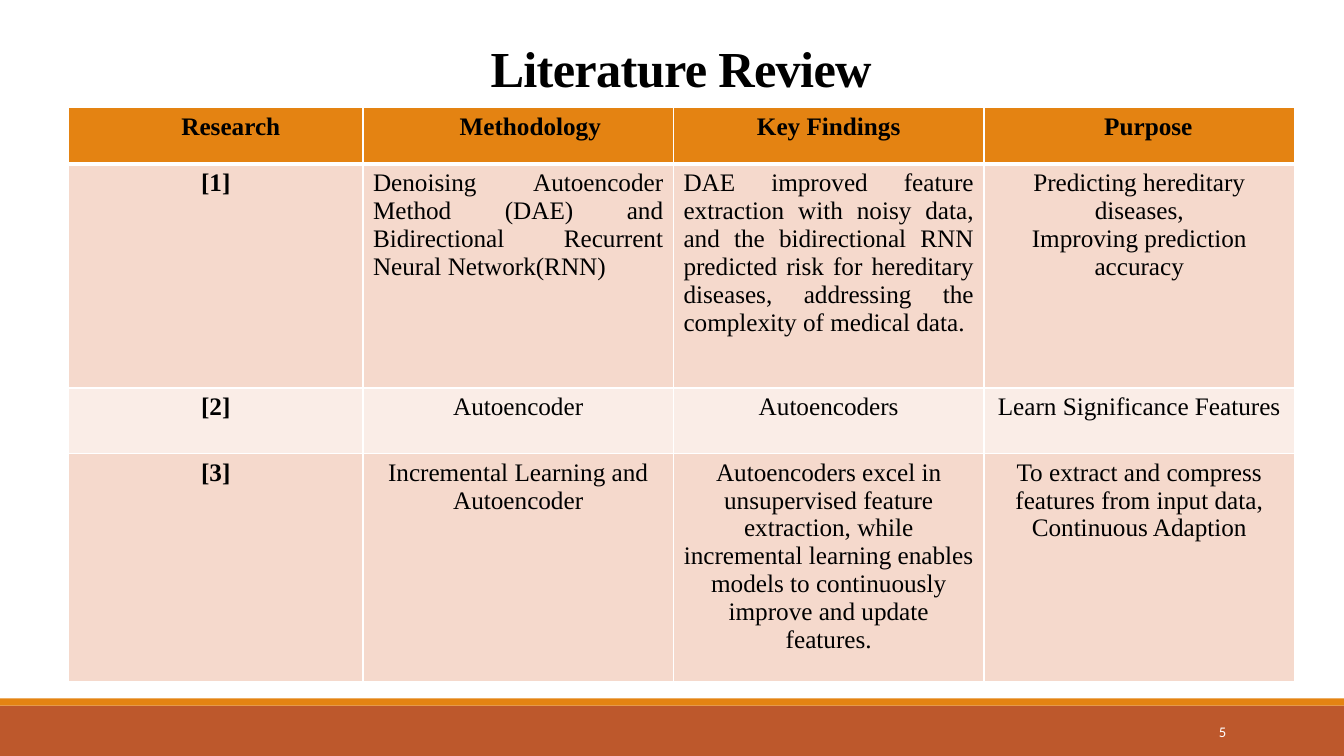
from lxml import etree
from pptx import Presentation
from pptx import util as u
from pptx.dml.color import RGBColor
from pptx.enum import shapes, text
from pptx.oxml import ns

WIDTH, HEIGHT = 13.33, 7.5
BLACK = RGBColor(0x00, 0x00, 0x00)
WHITE = RGBColor(0xFF, 0xFF, 0xFF)
ORANGE = RGBColor(0xE4, 0x83, 0x12)
RUST = RGBColor(0xBD, 0x58, 0x2C)
BANDS = [RGBColor(0xF5, 0xD9, 0xCC), RGBColor(0xFA, 0xED, 0xE7)]
SERIF, SANS = "Times New Roman", "Calibri"
CENTER, JUSTIFY, RIGHT = text.PP_ALIGN.CENTER, text.PP_ALIGN.JUSTIFY, text.PP_ALIGN.RIGHT

COLUMNS = [2.92, 3.08, 3.08, 3.08]
ROWS = [0.56, 2.22, 0.65, 2.26]
HEADER_SHIFTS = [0.3, 0.24, 0, 0.18]
REVIEW = [
    ["Research", "Methodology", "Key Findings", "Purpose"],
    ["[1]",
     "Denoising Autoencoder Method (DAE) and Bidirectional Recurrent Neural Network(RNN)",
     "DAE improved feature extraction with noisy data, and the bidirectional RNN predicted "
     "risk for hereditary diseases, addressing the complexity of medical data.",
     "Predicting hereditary diseases,\nImproving prediction accuracy"],
    ["[2]", "Autoencoder", "Autoencoders", "Learn Significance Features"],
    ["[3]",
     "Incremental Learning and Autoencoder",
     "Autoencoders excel in unsupervised feature extraction, while incremental learning "
     "enables models to continuously improve and update features.",
     "To extract and compress features from input data,\nContinuous Adaption"],
]
JUSTIFIED = {(1, 1), (1, 2)}


def write(frame, words, size=18, font=SERIF, color=BLACK, bold=False, align=CENTER,
          line_spacing=None, tracking=None):
    """Fill a text frame with one paragraph per line of words."""
    frame.word_wrap = True
    for index, line in enumerate(words.split("\n")):
        para = frame.paragraphs[0] if index == 0 else frame.add_paragraph()
        para.alignment = align
        para.line_spacing = line_spacing
        span = para.add_run()
        span.text = line
        span.font.size, span.font.name, span.font.bold = u.Pt(size), font, bold
        span.font.color.rgb = color
        if tracking is not None:
            span.font._element.set("spc", str(int(tracking * 100)))


def add_text(page, box, words, anchor, **style):
    """Place a text box in the given box."""
    frame = page.shapes.add_textbox(*map(u.Inches, box)).text_frame
    write(frame, words, **style)
    frame.vertical_anchor = anchor


def add_bar(page, box, color):
    """Draw a plain filled rectangle."""
    bar = page.shapes.add_shape(shapes.MSO_SHAPE.RECTANGLE, *map(u.Inches, box))
    bar.shadow.inherit = False
    bar.fill.solid()
    bar.fill.fore_color.rgb = color
    bar.line.fill.background()


def add_borders(cell, top, bottom):
    """Give a cell white borders, with top and bottom widths in points."""
    properties = cell._tc.get_or_add_tcPr()
    for side, width in (("L", 1), ("R", 1), ("T", top), ("B", bottom)):
        line = etree.SubElement(properties, ns.qn("a:ln" + side), w=str(u.Pt(width)))
        fill = etree.SubElement(line, ns.qn("a:solidFill"))
        etree.SubElement(fill, ns.qn("a:srgbClr"), val=str(WHITE))


def add_review(page, left, top):
    """Build the literature table from its top left corner."""
    size = (sum(COLUMNS), sum(ROWS))
    table = page.shapes.add_table(len(ROWS), len(COLUMNS),
                                  *map(u.Inches, (left, top, *size))).table
    for column, width in zip(table.columns, COLUMNS):
        column.width = u.Inches(width)
    for r, (height, entries) in enumerate(zip(ROWS, REVIEW)):
        table.rows[r].height = u.Inches(height)
        for c, words in enumerate(entries):
            cell = table.cell(r, c)
            add_borders(cell, top=3 if r == 1 else 1, bottom=3 if r == 0 else 1)
            cell.fill.solid()
            cell.fill.fore_color.rgb = BANDS[(r - 1) % 2] if r else ORANGE
            if r == 0:
                cell.margin_left = u.Inches(0.1 + HEADER_SHIFTS[c])
            write(cell.text_frame, words, bold=r == 0 or c == 0,
                  align=JUSTIFY if (r, c) in JUSTIFIED else CENTER)


def add_footer(page, left, top, width, height, number):
    """Draw the two footer bars and the page number."""
    stripe = 0.07
    add_bar(page, (left, top + stripe, width, height - stripe), RUST)
    add_bar(page, (left, top, width, stripe), ORANGE)
    add_text(page, (left + width - 2.5, top + 0.13, 1.43, 0.4), number,
             text.MSO_ANCHOR.MIDDLE, size=10.5, font=SANS, color=WHITE, align=RIGHT)


def main():
    """Build and save the slide."""
    deck = Presentation()
    deck.slide_width, deck.slide_height = u.Inches(WIDTH), u.Inches(HEIGHT)
    page = deck.slides.add_slide(deck.slide_layouts[6])
    add_footer(page, 0, HEIGHT - 0.57, WIDTH, 0.57, "5")
    add_text(page, (1.29, 0.04, 10.93, 0.98), "Literature Review", text.MSO_ANCHOR.BOTTOM,
             size=36, bold=True, line_spacing=0.85, tracking=-0.5)
    add_review(page, 0.68, 1.07)
    deck.save("out.pptx")


if __name__ == "__main__":
    main()
